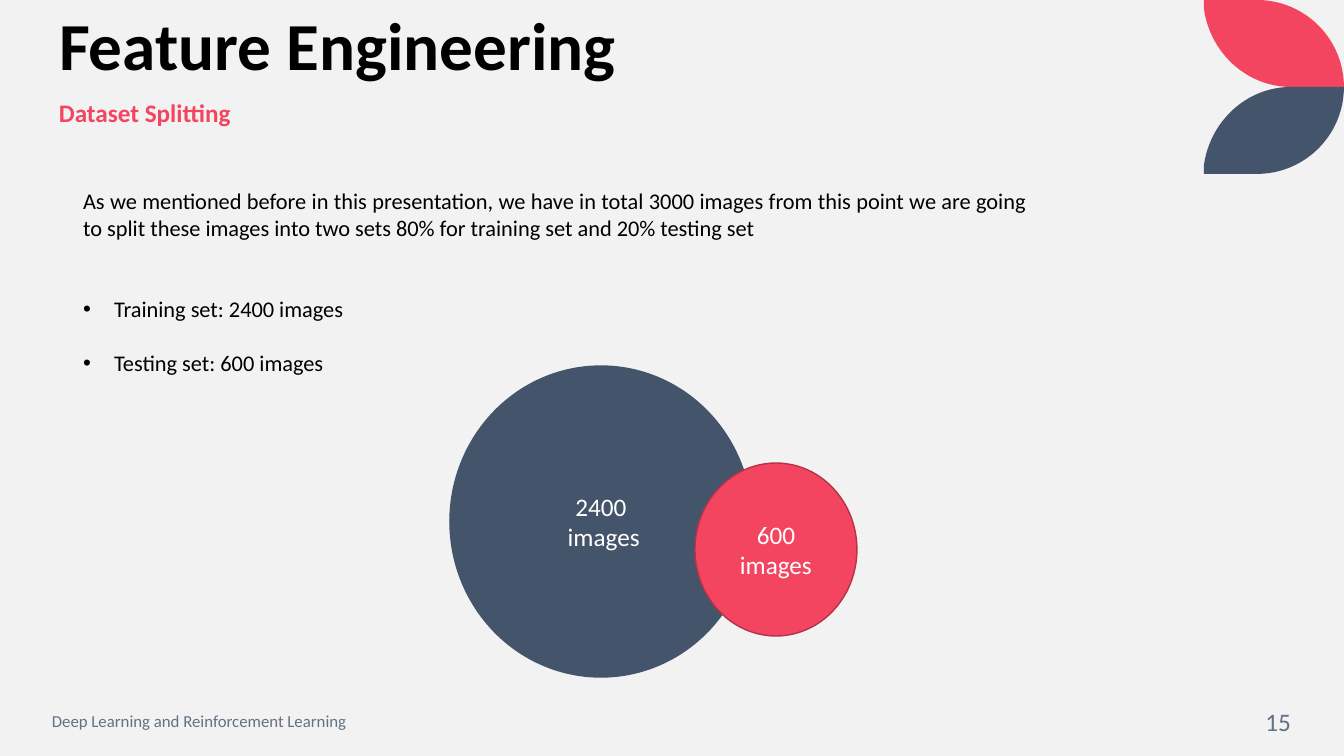
import pptx
import pptx.util
import pptx.dml.color
import pptx.enum.shapes
import pptx.enum.text
import lxml.etree

SCALE = 914400 / 100.8  # EMU per px
FONT = "Calibri"
NAVY, RED, GREY = "44546A", "F44560", "637183"
ALIGN = pptx.enum.text.PP_ALIGN
ANCHOR = pptx.enum.text.MSO_ANCHOR


def emu(px):
    return pptx.util.Emu(round(px * SCALE))


def color(text):
    return pptx.dml.color.RGBColor.from_string(text)


def paint(shape, fill, line=None):
    shape.shadow.inherit = False
    shape.fill.solid()
    shape.fill.fore_color.rgb = color(fill)
    if line:
        shape.line.color.rgb = color(line)
        shape.line.width = pptx.util.Pt(1)
    else:
        shape.line.fill.background()


def place(shape, box):
    shape.left, shape.top, shape.width, shape.height = map(emu, box)


def write(shape, lines, size, ink, align=ALIGN.LEFT, anchor=ANCHOR.TOP,
          bold=False, space=1.0):
    frame = shape.text_frame
    frame.word_wrap = True
    frame.auto_size = pptx.enum.text.MSO_AUTO_SIZE.NONE
    frame.vertical_anchor = anchor
    frame.text = "\n".join(lines)
    for para in frame.paragraphs:
        para.alignment = align
        para.line_spacing = space
        para.space_before = pptx.util.Pt(0)
        para.font.name = FONT
        para.font.size = pptx.util.Pt(size)
        para.font.bold = bold
        para.font.color.rgb = color(ink)


def label(slide, box, text, size, ink, **style):
    shape = slide.shapes.add_textbox(*map(emu, box))
    write(shape, [text], size, ink, **style)


def disc(slide, box, lines, fill, line):
    oval = pptx.enum.shapes.MSO_SHAPE.OVAL
    shape = slide.shapes.add_shape(oval, *map(emu, box))
    paint(shape, fill, line)
    write(shape, lines, 18, "FFFFFF", ALIGN.CENTER, ANCHOR.MIDDLE)


def curve(a, b, c, d, steps=24):
    """Points along a cubic curve, without its start."""
    for n in range(1, steps + 1):
        t = n / steps
        u = 1 - t
        yield tuple(u**3 * p + 3 * u * u * t * q + 3 * u * t * t * r + t**3 * s
                    for p, q, r, s in zip(a, b, c, d))


def leaf(slide, fill, flip=False):
    points = [(1204, 0), (1257, 0)]
    points += curve((1257, 0), (1305, 0), (1344, 39), (1344, 87))
    points.append((1291, 87))
    points += curve((1291, 87), (1246, 87), (1210, 52), (1204, 9))
    if flip:
        points = [(x, 174 - y) for x, y in points]
    points = [(emu(x), emu(y)) for x, y in points]
    form = slide.shapes.build_freeform(*points[0])
    form.add_line_segments(points[1:], close=True)
    paint(form.convert_to_shape(), fill)


def bullet(para, mark=None):
    props = para._p.get_or_add_pPr()
    step = emu(31) if mark else 0
    props.set("marL", str(step))
    props.set("indent", str(-step))
    tag = pptx.oxml.ns.qn("a:buChar" if mark else "a:buNone")
    node = lxml.etree.SubElement(props, tag)
    if mark:
        node.set("char", mark)


def main():
    deck = pptx.Presentation()
    deck.slide_width, deck.slide_height = emu(1344), emu(756)
    slide = deck.slides.add_slide(deck.slide_layouts[1])
    slide.background.fill.solid()
    slide.background.fill.fore_color.rgb = color("F2F2F2")

    # Corner leaves
    leaf(slide, RED)
    leaf(slide, NAVY, flip=True)

    # Title and subtitle
    title = slide.shapes.title
    place(title, (49, 7, 856, 84))
    write(title, ["Feature Engineering"], 48, "000000", bold=True, space=0.9)
    label(slide, (49, 96, 745, 37), "Dataset Splitting", 18, RED,
          bold=True, space=0.9)

    # Explanation and list of sets
    body = slide.placeholders[1]
    place(body, (73, 182, 964, 363))
    write(body, [
        "As we mentioned before in this presentation, we have in total 3000 "
        "images from this point we are going to split these images into two "
        "sets 80% for training set and 20% testing set",
        "Training set: 2400 images",
        "Testing set: 600 images",
    ], 16, "000000", ALIGN.JUSTIFY)
    for para, gap, mark in zip(body.text_frame.paragraphs,
                               (0, 39, 19.5), (None, "•", "•")):
        para.space_before = pptx.util.Pt(gap)
        bullet(para, mark)

    # Set sizes
    disc(slide, (450, 366, 302, 311), ["2400", " images"], NAVY, NAVY)
    disc(slide, (695, 463, 162, 173), ["600 images"], RED, "B53347")

    # Footer
    label(slide, (42, 701, 419, 40), "Deep Learning and Reinforcement Learning",
          12, GREY, anchor=ANCHOR.MIDDLE)
    label(slide, (1119, 701, 182, 40), "15", 18, GREY,
          align=ALIGN.RIGHT, anchor=ANCHOR.MIDDLE)

    deck.save("out.pptx")


if __name__ == "__main__":
    main()
